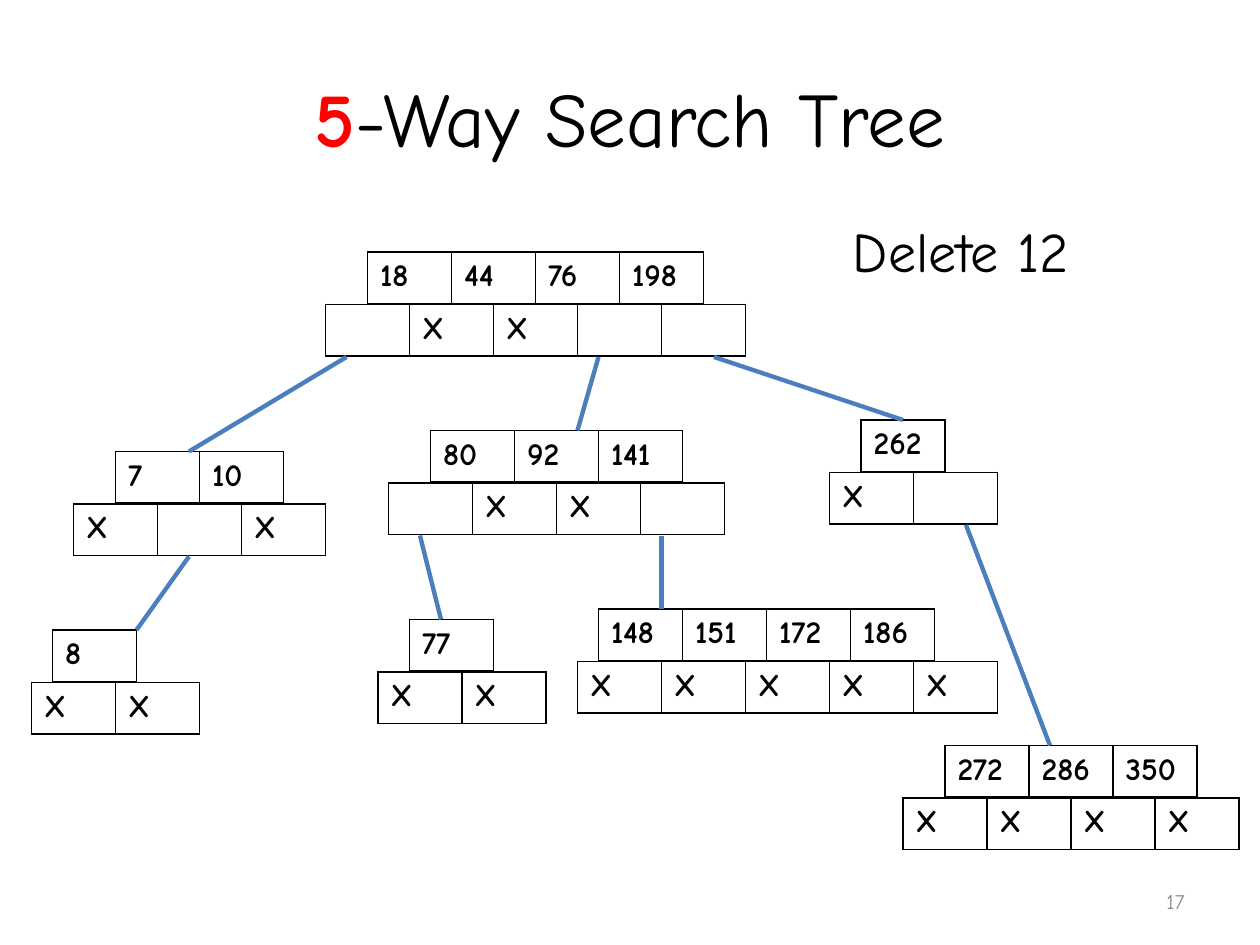
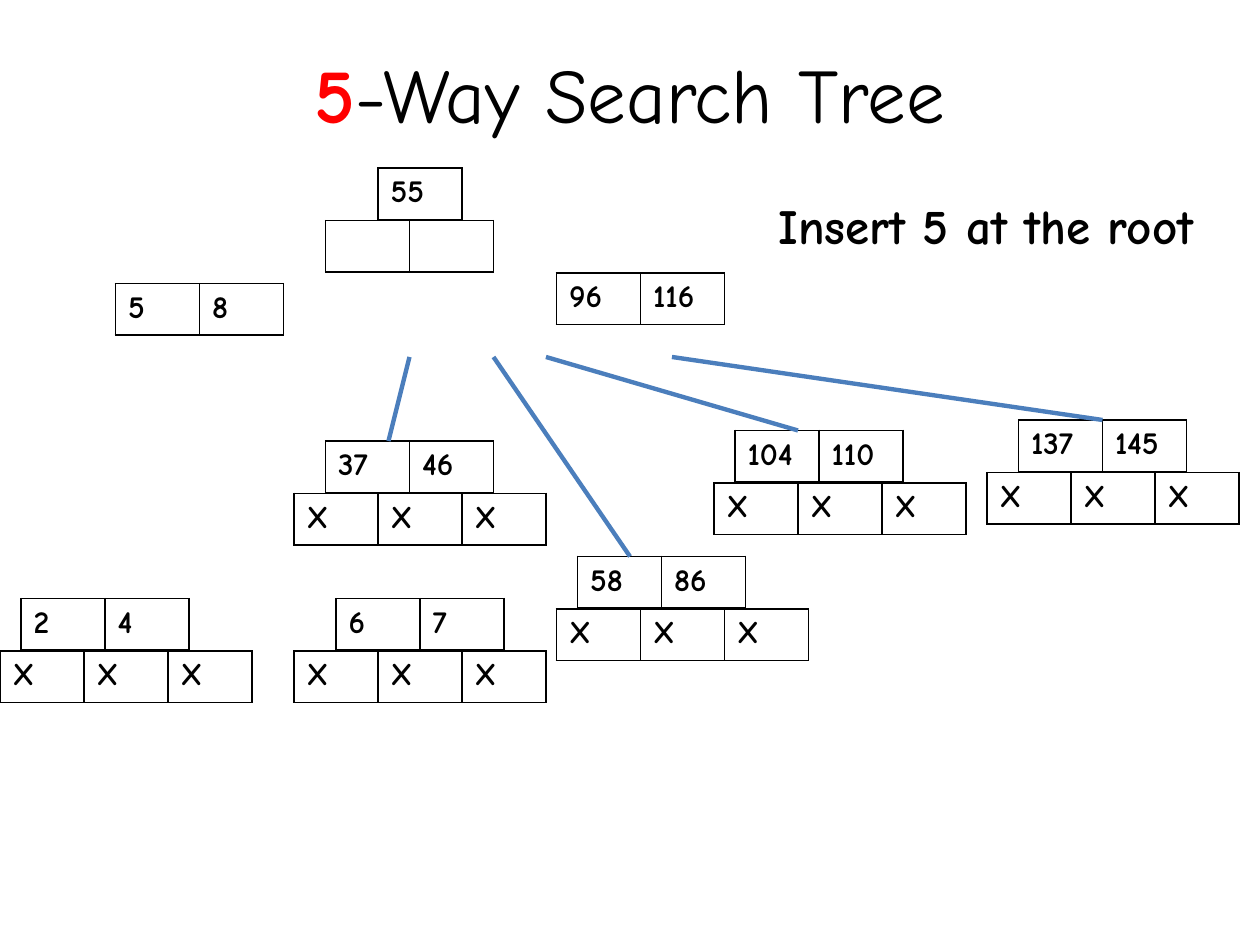
from lxml import etree
from pptx import Presentation
from pptx.dml.color import RGBColor
from pptx.enum.shapes import MSO_CONNECTOR
from pptx.enum.text import MSO_ANCHOR, PP_ALIGN
from pptx.oxml.ns import qn
from pptx.util import Inches, Pt

STRAIGHT = MSO_CONNECTOR.STRAIGHT
MIDDLE, TOP = MSO_ANCHOR.MIDDLE, MSO_ANCHOR.TOP
LEFT, CENTER, RIGHT = PP_ALIGN.LEFT, PP_ALIGN.CENTER, PP_ALIGN.RIGHT

BLACK = RGBColor(0x00, 0x00, 0x00)
WHITE = RGBColor(0xFF, 0xFF, 0xFF)
RED = RGBColor(0xFF, 0x00, 0x00)
BLUE = RGBColor(0x4B, 0x7E, 0xBC)
GREY = RGBColor(0x8C, 0x8C, 0x8C)
FONT = "Comic Neue"

# Everything in a tree sits on a grid of twelve steps to the inch.
STEP = Inches(1) // 12
CELL_STEPS = 8
LINKS_DROP = 5
ROW_HEIGHT = Inches(0.41)

# Node: left and top of the keys, the keys, left of the links, the links
# ("X" is an empty link, a space is a link to a child).
DELETE_NODES = [
    (35, 24, [18, 44, 76, 198], 31, " XX  "),
    (11, 43, [7, 10], 7, "X X"),
    (41, 41, [80, 92, 141], 37, " XX "),
    (82, 40, [262], 79, "X "),
    (5, 60, [8], 3, "XX"),
    (57, 58, [148, 151, 172, 186], 55, "XXXXX"),
    (39, 59, [77], 36, "XX"),
    (90, 71, [272, 286, 350], 86, "XXXX"),
]
DELETE_EDGES = [
    (33, 34, 18, 43), (57, 34, 55, 41), (68, 34, 86, 40), (18, 53, 13, 60),
    (40, 51, 42, 59), (63, 51, 63, 58), (92, 50, 100, 71),
]
INSERT_NODES = [
    (70, 41, [104, 110], 68, "XXX"),
    (97, 40, [137, 145], 94, "XXX"),
    (31, 42, [37, 46], 28, "XXX"),
    (55, 53, [58, 86], 53, "XXX"),
    (32, 57, [6, 7], 28, "XXX"),
    (2, 57, [2, 4], 0, "XXX"),
    (53, 26, [96, 116], 0, ""),
    (11, 27, [5, 8], 0, ""),
    (36, 16, [55], 31, "  "),
]
INSERT_EDGES = [
    (52, 34, 76, 41), (64, 34, 105, 40), (39, 34, 37, 42), (47, 34, 60, 53),
]


def style(font, size, color=BLACK, bold=False):
    font.name = FONT
    font.size = Pt(size)
    font.color.rgb = color
    font.bold = bold


def add_title(slide, height):
    title = slide.shapes.title
    title.left, title.top = Inches(0.5), Inches(0.3)
    title.width, title.height = Inches(9), Inches(height)
    tf = title.text_frame
    tf.vertical_anchor = MIDDLE
    p = tf.paragraphs[0]
    p.alignment = CENTER
    for text, color, bold in (("5", RED, True), ("-Way Search Tree", BLACK, False)):
        r = p.add_run()
        r.text = text
        style(r.font, 44, color, bold)


def add_text(slide, text, box, size, color=BLACK, bold=False, align=LEFT, anchor=TOP):
    tf = slide.shapes.add_textbox(*map(Inches, box)).text_frame
    tf.word_wrap = True
    tf.vertical_anchor = anchor
    p = tf.paragraphs[0]
    p.text = text
    p.alignment = align
    style(p.runs[0].font, size, color, bold)


def add_borders(cell):
    tc_pr = cell._tc.get_or_add_tcPr()
    for side in ("a:lnL", "a:lnR", "a:lnT", "a:lnB"):
        ln = etree.SubElement(tc_pr, qn(side), w=str(Pt(1)))
        fill = etree.SubElement(ln, qn("a:solidFill"))
        etree.SubElement(fill, qn("a:srgbClr"), val=str(BLACK))


def add_cells(slide, left, top, values):
    """Add a one-row table with its corner at a grid point."""
    cell_width = CELL_STEPS * STEP
    table = slide.shapes.add_table(1, len(values), left * STEP, top * STEP,
                                   len(values) * cell_width, ROW_HEIGHT).table
    table.first_row = table.horz_banding = False
    for column, value in zip(table.columns, values):
        column.width = cell_width
    for cell, value in zip(table.rows[0].cells, values):
        add_borders(cell)
        cell.fill.solid()
        cell.fill.fore_color.rgb = WHITE
        text = str(value).strip()
        if text:
            p = cell.text_frame.paragraphs[0]
            p.text = text
            style(p.runs[0].font, 18, bold=True)


def add_edge(slide, *ends):
    line = slide.shapes.add_connector(STRAIGHT, *(end * STEP for end in ends))
    line.line.color.rgb = BLUE
    line.line.width = Pt(2.5)
    etree.SubElement(line._element.spPr, qn("a:effectLst"))


def add_tree(slide, nodes, edges):
    for left, top, keys, links_left, links in nodes:
        add_cells(slide, left, top, keys)
        if links:
            add_cells(slide, links_left, top + LINKS_DROP, links)
    for edge in edges:
        add_edge(slide, *edge)


def add_tree_slide(prs, title_height, nodes, edges):
    slide = prs.slides.add_slide(prs.slide_layouts.get_by_name("Title Only"))
    add_title(slide, title_height)
    add_tree(slide, nodes, edges)
    return slide


def main():
    prs = Presentation()
    prs.slide_width, prs.slide_height = Inches(10), Inches(7.5)

    slide = add_tree_slide(prs, 1.25, DELETE_NODES, DELETE_EDGES)
    add_text(slide, "Delete 12", (6.67, 1.67, 2.92, 0.64), 32)
    add_text(slide, "17", (7.17, 6.95, 2.33, 0.4), 12, GREY, align=RIGHT, anchor=MIDDLE)

    slide = add_tree_slide(prs, 0.87, INSERT_NODES, INSERT_EDGES)
    add_text(slide, "Insert 5 at the root", (6.08, 1.5, 3.5, 1.04), 28, bold=True)

    prs.save("out.pptx")


if __name__ == "__main__":
    main()
